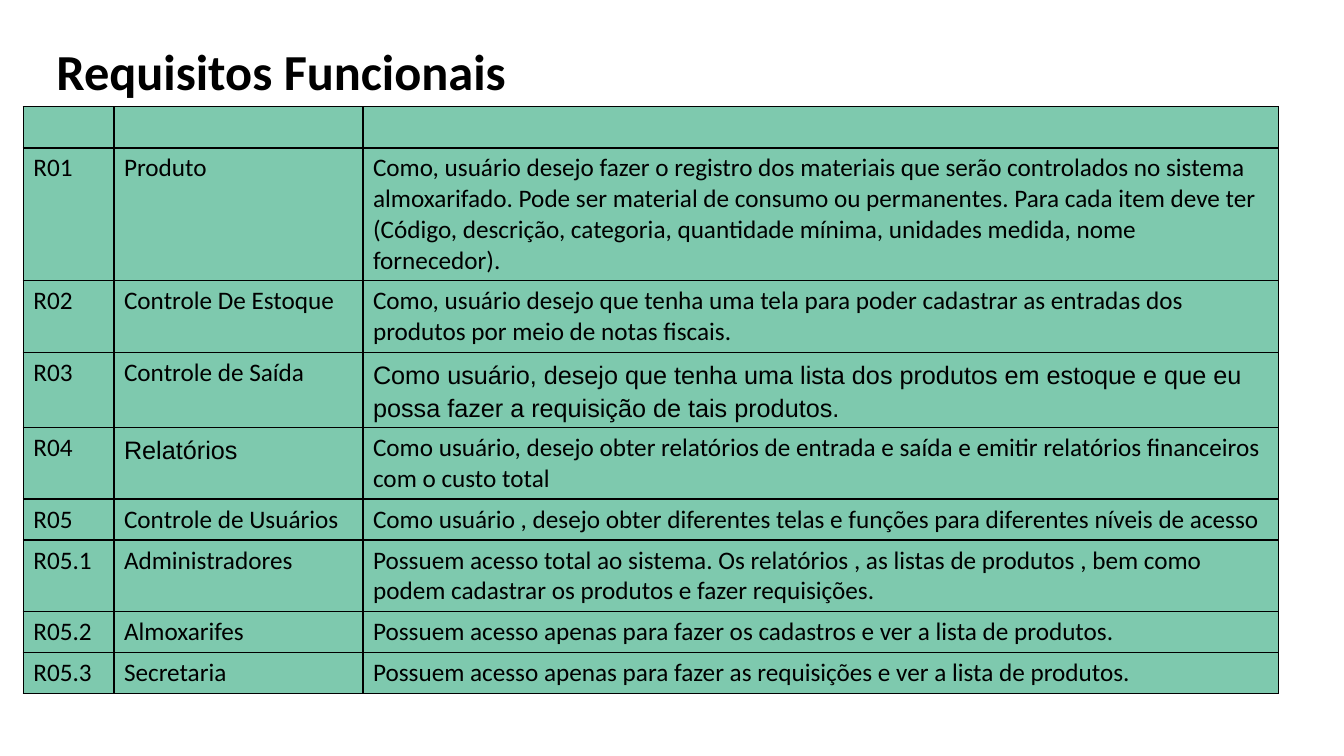
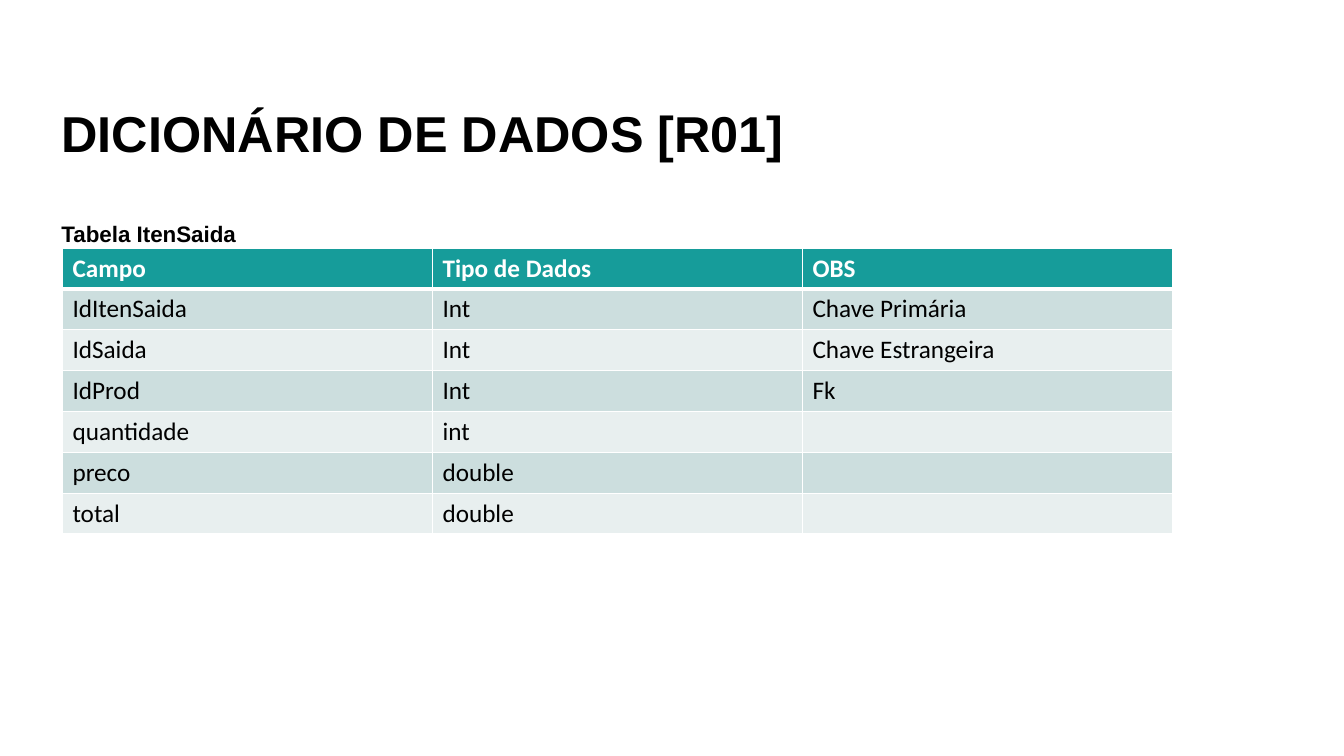
"""Builds the functional requirements and data dictionary slides."""
from lxml import etree
from pptx import Presentation
from pptx.dml.color import RGBColor
from pptx.enum.text import MSO_ANCHOR, MSO_AUTO_SIZE, PP_ALIGN
from pptx.oxml.ns import qn
from pptx.util import Inches, Pt

BOTTOM = MSO_ANCHOR.BOTTOM
NO_FIT = MSO_AUTO_SIZE.NONE
LEFT = PP_ALIGN.LEFT

BLACK = RGBColor(0x00, 0x00, 0x00)
WHITE = RGBColor(0xFF, 0xFF, 0xFF)
GREEN = RGBColor(0x7E, 0xC9, 0xAE)
TEAL = RGBColor(0x16, 0x9C, 0x9A)
MIST = RGBColor(0xCC, 0xDE, 0xDE)
PALE = RGBColor(0xE8, 0xEF, 0xEF)

REQUIREMENTS = [
    ("", "", ""),
    ("R01", "Produto",
     "Como, usuário desejo fazer o registro dos materiais que serão controlados no sistema "
     "almoxarifado. Pode ser material de consumo ou permanentes. Para cada item deve ter "
     "(Código, descrição, categoria, quantidade mínima, unidades medida, nome fornecedor)."),
    ("R02", "Controle De Estoque",
     "Como, usuário desejo que tenha uma tela para poder cadastrar as entradas dos produtos "
     "por meio de notas fiscais."),
    ("R03", "Controle de Saída",
     "Como usuário, desejo que tenha uma lista dos produtos em estoque e que eu possa fazer "
     "a requisição de tais produtos."),
    ("R04", "Relatórios",
     "Como usuário, desejo obter relatórios de entrada e saída e emitir relatórios "
     "financeiros com o custo total"),
    ("R05", "Controle de Usuários",
     "Como usuário , desejo obter diferentes telas e funções para diferentes níveis de acesso"),
    ("R05.1", "Administradores",
     "Possuem acesso total ao sistema. Os relatórios , as listas de produtos , bem como podem "
     "cadastrar os produtos e fazer requisições."),
    ("R05.2", "Almoxarifes",
     "Possuem acesso apenas para fazer os cadastros e ver a lista de produtos."),
    ("R05.3", "Secretaria",
     "Possuem acesso apenas para fazer as requisições e ver a lista de produtos."),
]
ARIAL_CELLS = {(3, 2), (4, 1)}

FIELDS = [
    ("Campo", "Tipo de Dados", "OBS"),
    ("IdItenSaida", "Int", "Chave Primária"),
    ("IdSaida", "Int", "Chave Estrangeira"),
    ("IdProd", "Int", "Fk"),
    ("quantidade", "int", ""),
    ("preco", "double", ""),
    ("total", "double", ""),
]


class Deck:
    """Holds the style and the current slide; lengths are percents of the slide."""

    title_layout = 5
    row_height = 5.41

    def __init__(self):
        self.prs = Presentation()
        self.prs.slide_width = Inches(13.33)
        self.prs.slide_height = Inches(7.5)
        self.slide = None

    def x(self, percent):
        """Return a share of the slide width."""
        return round(self.prs.slide_width * percent / 100)

    def y(self, percent):
        """Return a share of the slide height."""
        return round(self.prs.slide_height * percent / 100)

    def style(self, paragraph, font, size, color, bold=False, spacing=None):
        """Format one paragraph."""
        paragraph.alignment = LEFT
        paragraph.line_spacing = spacing
        paragraph.font.name = font
        paragraph.font.size = Pt(size)
        paragraph.font.bold = bold
        paragraph.font.color.rgb = color

    def heading(self, shape, text, font, size):
        """Fill a bold heading that rests on the bottom of its shape."""
        frame = shape.text_frame
        frame.text = text
        frame.word_wrap = True
        frame.auto_size = NO_FIT
        frame.vertical_anchor = BOTTOM
        self.style(frame.paragraphs[0], font, size, BLACK, bold=True, spacing=0.9)

    def add_slide(self, title, font, left, top, width, height):
        """Start a slide with its title."""
        self.slide = self.prs.slides.add_slide(self.prs.slide_layouts[self.title_layout])
        holder = self.slide.shapes.title
        holder.left, holder.top = self.x(left), self.y(top)
        holder.width, holder.height = self.x(width), self.y(height)
        self.heading(holder, title, font, 36)

    def caption(self, text, left, top, width, height):
        """Add a small heading above a table."""
        box = self.slide.shapes.add_textbox(self.x(left), self.y(top), self.x(width), self.y(height))
        self.heading(box, text, "Arial", 16)

    def border(self, cell, side, color, width):
        """Draw one border of a cell."""
        line = etree.SubElement(cell._tc.get_or_add_tcPr(), qn(f"a:ln{side}"), w=str(Pt(width)))
        fill = etree.SubElement(line, qn("a:solidFill"))
        etree.SubElement(fill, qn("a:srgbClr"), val=str(color))

    def table(self, rows, left, top, columns, header, bands, line, rule,
              header_text=BLACK, arial_cells=()):
        """Add a table with a header, banded rows and a rule below the header."""
        frame = self.slide.shapes.add_table(
            len(rows), len(columns), self.x(left), self.y(top),
            self.x(sum(columns)), self.y(self.row_height * len(rows)))
        grid = frame.table
        grid.first_row = grid.horz_banding = False
        for column, width in zip(grid.columns, columns):
            column.width = self.x(width)
        for r, values in enumerate(rows):
            is_header = r == 0
            widths = {"L": 1, "R": 1, "T": rule if r == 1 else 1, "B": rule if is_header else 1}
            for c, value in enumerate(values):
                cell = grid.cell(r, c)
                for side, width in widths.items():
                    self.border(cell, side, line, width)
                cell.fill.solid()
                cell.fill.fore_color.rgb = header if is_header else bands[(r - 1) % len(bands)]
                cell.text = value
                arial = (r, c) in arial_cells
                self.style(cell.text_frame.paragraphs[0], "Arial" if arial else "Calibri", 18,
                           header_text if is_header else BLACK,
                           bold=is_header, spacing=1.15 if arial else None)


def main():
    deck = Deck()

    deck.add_slide("Requisitos Funcionais", "Calibri", 3.45, -8.13, 48.54, 22.27)
    deck.table(REQUIREMENTS, 1.73, 14.13, [6.75, 18.53, 68.12], GREEN, [GREEN], BLACK, 1.5,
               arial_cells=ARIAL_CELLS)

    deck.add_slide("DICIONÁRIO DE DADOS [R01]", "Arial", 3.83, 0, 86.27, 22.27)
    deck.table(FIELDS, 4.65, 32.8, [27.53] * 3, TEAL, [MIST, PALE], WHITE, 3, header_text=WHITE)
    deck.caption("Tabela ItenSaida", 3.83, 11.07, 86.27, 22.27)

    deck.prs.save("out.pptx")


if __name__ == "__main__":
    main()
